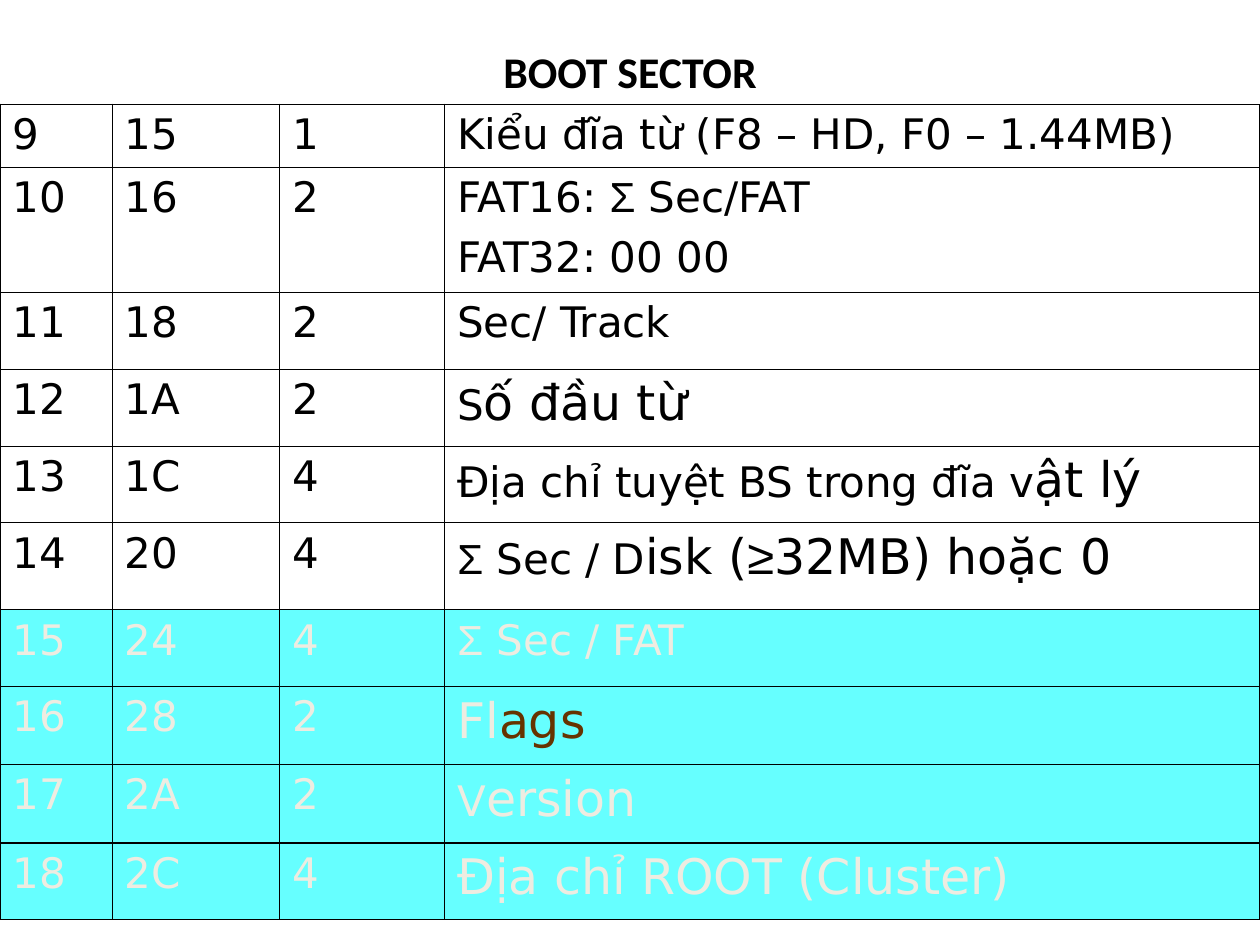
from itertools import groupby

from lxml import etree
from pptx import Presentation, util as u
from pptx.dml.color import RGBColor
from pptx.enum import text
from pptx.oxml import ns

COLS = [0.89, 1.33, 1.31, 6.47]
HEIGHTS = [0.5, 0.99, 0.61, 0.61, 0.61, 0.69, 0.61, 0.62, 0.62, 0.61]
FIELDS = [
    ("9", "15", "1", [[("Kiểu đĩa từ (F8 – HD, F0 – 1.44MB)", 24)]]),
    ("10", "16", "2", [[("FAT16: Σ Sec/FAT", 24)], [("FAT32: 00 00", 24)]]),
    ("11", "18", "2", [[("Sec/ Track", 24)]]),
    ("12", "1A", "2", [[("S", 24), ("ố đầu từ", 28)]]),
    ("13", "1C", "4", [[("Địa chỉ tuyệt BS trong đĩa v", 24), ("ật lý", 28)]]),
    ("14", "20", "4", [[("Σ Sec / D", 24), ("isk (≥32MB) hoặc 0", 28)]]),
    ("15", "24", "4", [[("Σ Sec / FAT", 24)]]),
    ("16", "28", "2", [[("Fl", 28), ("ags", 28, "663300")]]),
    ("17", "2A", "2", [[("V", 24), ("ersion", 28)]]),
    ("18", "2C", "4", [[("Địa chỉ ROOT (Cluster)", 28)]]),
]


def rgb(code):
    """Turn a hex string into a colour."""
    return RGBColor.from_string(code)


class Deck:
    """Holds the style and the current slide."""

    thin, thick = 0.45, 1.08
    ink, pale, aqua = "000000", "EEECE1", "66FFFF"
    font, math = "DejaVu Sans", "Arial"
    fat32 = 6

    def __init__(self):
        """Start a deck with one title-only slide."""
        self.prs = Presentation()
        self.prs.slide_width, self.prs.slide_height = u.Inches(10), u.Inches(7.5)
        self.slide = self.prs.slides.add_slide(self.prs.slide_layouts[5])

    def run(self, para, words, size, color, font, bold=False):
        """Add a run with its format."""
        run = para.add_run()
        run.text = words
        look = {"size": u.Pt(size), "name": font, "bold": bold}
        for key, value in look.items():
            setattr(run.font, key, value)
        run.font.color.rgb = rgb(color)

    def title(self, words, box):
        """Place and fill the title."""
        shape = self.slide.shapes.title
        for key, value in zip(("left", "top", "width", "height"), box):
            setattr(shape, key, u.Inches(value))
        frame = shape.text_frame
        frame.vertical_anchor = text.MSO_ANCHOR.MIDDLE
        para = frame.paragraphs[0]
        para.alignment = text.PP_ALIGN.CENTER
        self.run(para, words, 25, self.ink, "Calibri", True)

    def edge(self, cell, widths):
        """Draw the left, right, top and bottom borders of a cell."""
        props = cell._tc.get_or_add_tcPr()
        for side, width in zip("LRTB", widths):
            line = etree.SubElement(props, ns.qn(f"a:ln{side}"), w=str(u.Pt(width)))
            fill = etree.SubElement(line, ns.qn("a:solidFill"))
            etree.SubElement(fill, ns.qn("a:srgbClr"), val=self.ink)

    def label(self, cell, paras, color):
        """Fill a cell, setting math signs in their own font."""
        frame = cell.text_frame
        for i, parts in enumerate(paras):
            para = frame.add_paragraph() if i else frame.paragraphs[0]
            if i:
                para.space_before = u.Pt(6)
            for words, size, *own in parts:
                for sign, chars in groupby(words, lambda c: c in "Σ≥"):
                    font = self.math if sign else self.font
                    self.run(para, "".join(chars), size, own[0] if own else color, font)

    def table(self, rows, cols, heights, left, top):
        """Add the table of boot sector fields."""
        size = [u.Inches(n) for n in (left, top, sum(cols), sum(heights))]
        table = self.slide.shapes.add_table(len(rows), len(cols), *size).table
        table.first_row = table.horz_banding = False
        for col, width in zip(table.columns, cols):
            col.width = u.Inches(width)
        for row, height in zip(table.rows, heights):
            row.height = u.Inches(height)
        last, end = len(rows) - 1, len(cols) - 1
        for r, (*codes, note) in enumerate(rows):
            new = r >= self.fat32
            cells = [[[(code, 24)]] for code in codes] + [note]
            for c, paras in enumerate(cells):
                cell = table.cell(r, c)
                heavy = (c == 0, c == end, r in (0, last), r >= last - 1)
                self.edge(cell, [self.thick if h else self.thin for h in heavy])
                if new:
                    cell.fill.solid()
                    cell.fill.fore_color.rgb = rgb(self.aqua)
                else:
                    cell.fill.background()
                self.label(cell, paras, self.pale if new else self.ink)


def main():
    """Build and save the slide."""
    deck = Deck()
    deck.title("BOOT SECTOR", (0.5, 0.3, 9, 0.52))
    deck.table(FIELDS, COLS, HEIGHTS, 0, 0.83)
    deck.prs.save("out.pptx")


if __name__ == "__main__":
    main()
